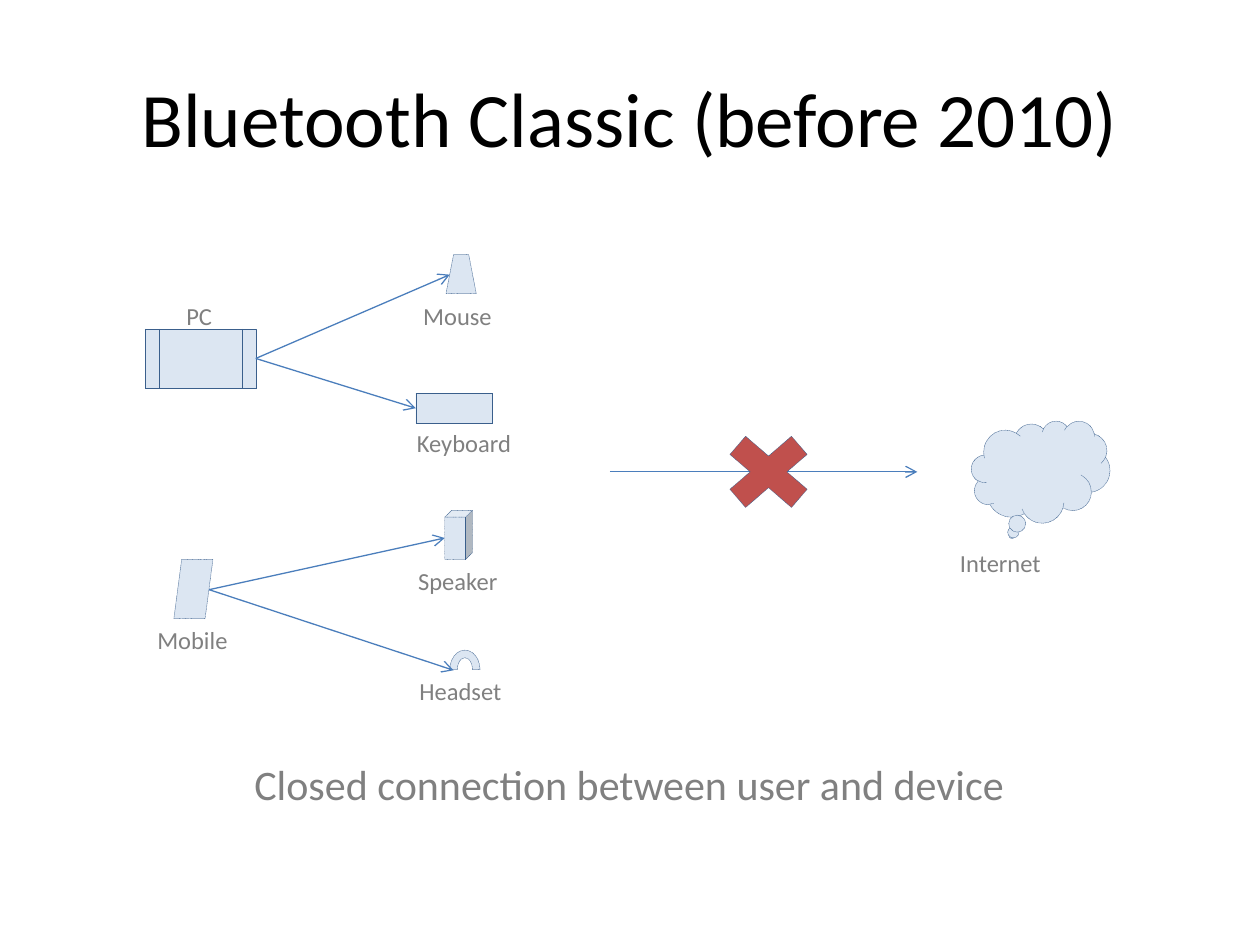
from lxml import etree
from pptx import Presentation
from pptx import util as u
from pptx.dml.color import RGBColor
from pptx.enum import dml, shapes, text
from pptx.oxml.ns import qn

COLS, ROWS = 100, 75
CELL = u.Inches(0.1)
KIND = shapes.MSO_SHAPE
TOP, LEFT, BOTTOM, RIGHT = range(4)

FONT = "Calibri"
BLACK, GREY = "000000", "808080"
PALE, RED, OUTLINE, ARROW = "DCE6F2", "C0504D", "3A5F8C", "4B7EBC"

LABEL = {"size": u.Pt(14), "name": FONT}
CAPTION = {"size": u.Pt(24), "name": FONT}
HEADING = {"size": u.Pt(44), "name": FONT}


def colour(value):
    return RGBColor.from_string(value)


def cells(*values):
    """Turn grid columns and rows into lengths."""
    return [round(value * CELL) for value in values]


def within(region, part):
    """Shift a part's box or point by the corner of its region."""
    return (region[0] + part[0], region[1] + part[1], *part[2:])


def add_words(slide, box, words, font, shade=GREY, centred=False):
    label = slide.shapes.add_textbox(*cells(*box))
    frame = label.text_frame
    frame.word_wrap = centred
    if centred:
        frame.vertical_anchor = text.MSO_ANCHOR.MIDDLE
    else:
        frame.auto_size = text.MSO_AUTO_SIZE.SHAPE_TO_FIT_TEXT
    paragraph = frame.paragraphs[0]
    paragraph.alignment = text.PP_ALIGN.CENTER if centred else text.PP_ALIGN.LEFT
    run = paragraph.add_run()
    run.text = words
    for key, value in font.items():
        setattr(run.font, key, value)
    run.font.color.rgb = colour(shade)


def add_symbol(slide, box, kind, fill=PALE):
    symbol = slide.shapes.add_shape(kind, *cells(*box))
    symbol.shadow.inherit = False
    symbol.fill.solid()
    symbol.fill.fore_color.rgb = colour(fill)
    symbol.line.color.rgb = colour(OUTLINE)
    for key, value in {"width": u.Pt(0.25),
                       "dash_style": dml.MSO_LINE.ROUND_DOT}.items():
        setattr(symbol.line, key, value)
    return symbol


def add_arrow(slide, start, end):
    arrow = slide.shapes.add_connector(
        shapes.MSO_CONNECTOR.STRAIGHT, *cells(*start, *end))
    arrow.line.color.rgb = colour(ARROW)
    arrow.line.width = u.Pt(0.75)
    etree.SubElement(arrow.line._get_or_add_ln(), qn("a:tailEnd"), type="arrow")
    etree.SubElement(arrow._element.spPr, qn("a:effectLst"))
    return arrow


def add_host(slide, region, host, devices):
    """A host on the left with an arrow to each of its devices."""
    def place(item):
        add_words(slide, within(region, item["label"]), item["name"], LABEL)
        return add_symbol(slide, within(region, item["box"]), item["kind"])

    host_symbol = place(host)
    for device in devices:
        device_symbol = place(device)
        arrow = add_arrow(slide, within(region, host["port"]),
                          within(region, device["port"]))
        if host["kind"] == KIND.FLOWCHART_PREDEFINED_PROCESS:
            arrow.begin_connect(host_symbol, RIGHT)
        if device["kind"] == KIND.RECTANGLE:
            arrow.end_connect(device_symbol, LEFT)


def add_internet(slide, region):
    """A crossed-out arrow towards the internet cloud."""
    left, top, width, height = region
    middle = top + height / 2
    add_symbol(slide, (left + width - 11, top, 11, height), KIND.CLOUD_CALLOUT)
    add_words(slide, (left + 26.8, top + 9.6, 8.5, 3.4), "Internet", LABEL)
    add_arrow(slide, (left, middle), (left + 24.4, middle))
    add_symbol(slide, (left + 7.9, top, 9.4, height), KIND.MATH_MULTIPLY, RED)


# Parts are placed from the top left corner of their host's region
PC = {"name": "PC", "kind": KIND.FLOWCHART_PREDEFINED_PROCESS,
      "box": (0, 5.9, 8.8, 4.7), "label": (2.3, 3.2, 4.1, 3.4), "port": (8.8, 8.25)}
PC_DEVICES = [
    {"name": "Mouse", "kind": KIND.TRAPEZOID, "box": (23.9, 0, 2.4, 3.1),
     "label": (21.1, 3.2, 7.5, 3.4), "port": (24.2, 1.6)},
    {"name": "Keyboard", "kind": KIND.RECTANGLE, "box": (21.5, 11, 6.1, 2.4),
     "label": (20.6, 13.3, 9.6, 3.4), "port": (21.5, 12.2)},
]
MOBILE = {"name": "Mobile", "kind": KIND.FLOWCHART_DATA,
          "box": (2.3, 3.9, 3.1, 4.7), "label": (0, 8.6, 7.7, 3.4),
          "port": (5.1, 6.3)}
MOBILE_DEVICES = [
    {"name": "Speaker", "kind": KIND.CUBE, "box": (23.8, 0, 2.2, 3.9),
     "label": (20.7, 3.9, 8.4, 3.4), "port": (23.8, 2.2)},
    {"name": "Headset", "kind": KIND.BLOCK_ARC, "box": (24.2, 11.1, 2.4, 3.1),
     "label": (20.8, 12.7, 8.6, 3.4), "port": (24.5, 12.7)},
]


def main():
    deck = Presentation()
    deck.slide_width, deck.slide_height = cells(COLS, ROWS)
    slide = deck.slides.add_slide(deck.slide_layouts[6])

    # Heading
    add_words(slide, (5, 3, 90, 12.5), "Bluetooth Classic (before 2010)",
              HEADING, BLACK, centred=True)
    # Hosts and their devices
    add_host(slide, (11.5, 20.2), PC, PC_DEVICES)
    add_host(slide, (11.5, 40.5), MOBILE, MOBILE_DEVICES)
    # Missing link to the internet
    add_internet(slide, (48.4, 33.4, 39.7, 8.1))
    # Conclusion
    add_words(slide, (19.2, 59.7, 62.1, 5),
              "Closed connection between user and device", CAPTION)

    deck.save("out.pptx")


if __name__ == "__main__":
    main()
